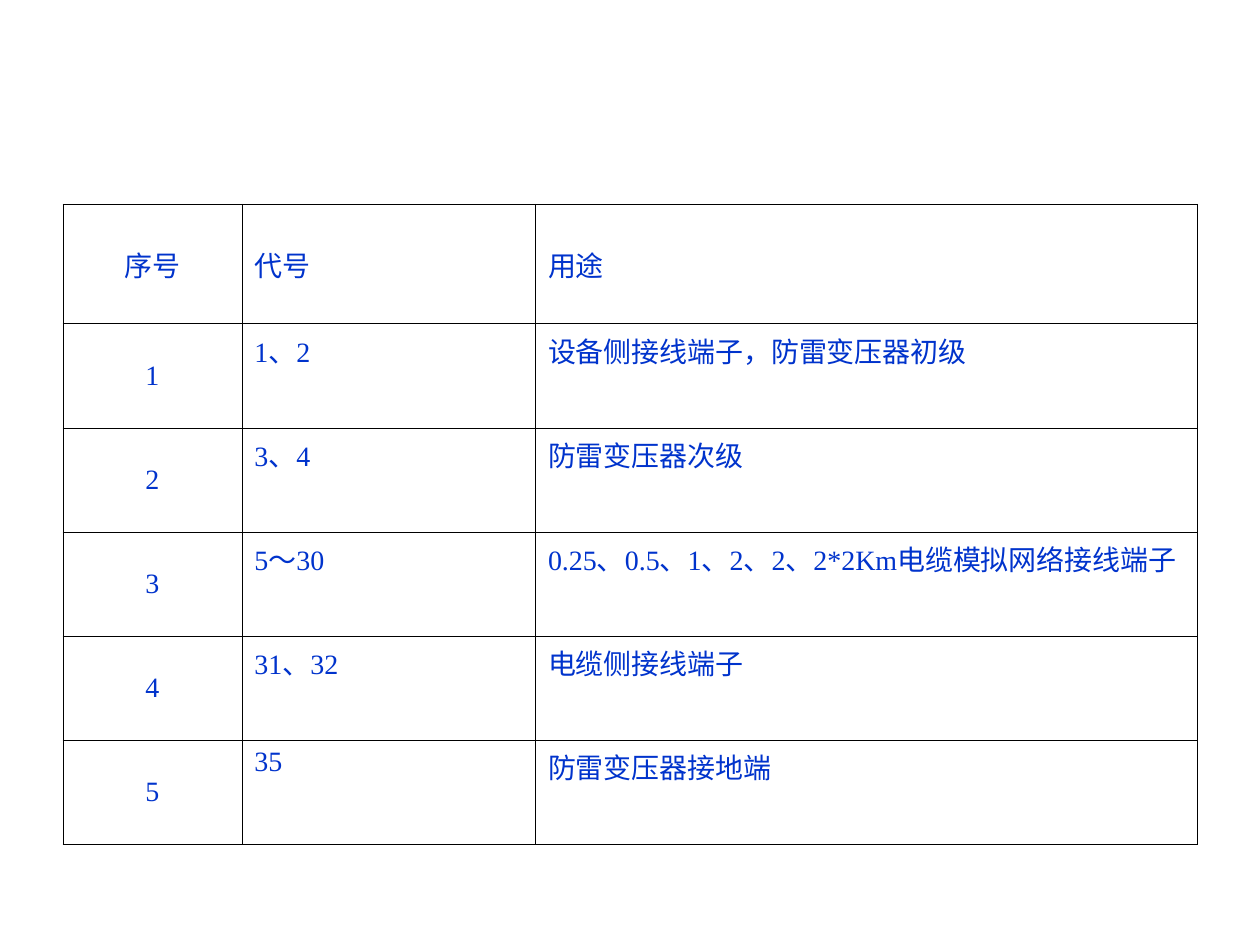
from dataclasses import dataclass

from lxml import etree
from pptx import Presentation
from pptx import util as u
from pptx.dml.color import RGBColor
from pptx.enum import text
from pptx.oxml import ns


@dataclass(frozen=True)
class Theme:
    ink: RGBColor = RGBColor(0x00, 0x33, 0xCC)
    rule: str = "000000"
    rule_width: u.Length = u.Pt(0.45)
    size: u.Length = u.Pt(16)
    latin: str = "Times New Roman"
    east_asian: str = "Noto Sans CJK SC"


class SlideBuilder:
    def __init__(self, slide, theme):
        self.slide = slide
        self.theme = theme

    def table(self, rows, left, top, widths, heights):
        grid = self.slide.shapes.add_table(
            len(rows), len(widths), u.Inches(left), u.Inches(top),
            u.Inches(sum(widths)), u.Inches(sum(heights))).table
        for name, value in {"first_row": False, "horz_banding": False}.items():
            setattr(grid, name, value)
        for column, width in zip(grid.columns, widths):
            column.width = u.Inches(width)
        for row, height in zip(grid.rows, heights):
            row.height = u.Inches(height)
        for r, row in enumerate(rows):
            for c, wording in enumerate(row):
                self.cell(grid.cell(r, c), wording,
                          middle=r == 0 or c == 0, centred=c == 0)

    def cell(self, cell, wording, middle, centred):
        anchor = text.MSO_ANCHOR.MIDDLE if middle else text.MSO_ANCHOR.TOP
        layout = {"margin_left": u.Inches(0.1), "margin_right": u.Inches(0.1),
                  "margin_top": u.Inches(0.05), "margin_bottom": u.Inches(0.05),
                  "vertical_anchor": anchor}
        for name, value in layout.items():
            setattr(cell, name, value)
        self.borders(cell)
        cell.fill.background()
        paragraph = cell.text_frame.paragraphs[0]
        paragraph.alignment = text.PP_ALIGN.CENTER if centred else text.PP_ALIGN.LEFT
        for part in filter(None, wording.partition("～")):
            self.run(paragraph, part)

    def run(self, paragraph, wording):
        run = paragraph.add_run()
        run.text = wording
        face = self.theme.east_asian if wording == "～" else self.theme.latin
        for name, value in {"name": face, "size": self.theme.size}.items():
            setattr(run.font, name, value)
        run.font.color.rgb = self.theme.ink
        etree.SubElement(run._r.get_or_add_rPr(), ns.qn("a:ea"),
                         typeface=self.theme.east_asian)

    def borders(self, cell):
        properties = cell._tc.get_or_add_tcPr()
        for side in ("a:lnL", "a:lnR", "a:lnT", "a:lnB"):
            line = etree.SubElement(properties, ns.qn(side),
                                    w=str(int(self.theme.rule_width)))
            fill = etree.SubElement(line, ns.qn("a:solidFill"))
            etree.SubElement(fill, ns.qn("a:srgbClr"), val=self.theme.rule)


TERMINALS = [
    ("序号", "代号", "用途"),
    ("1", "1、2", "设备侧接线端子，防雷变压器初级"),
    ("2", "3、4", "防雷变压器次级"),
    ("3", "5～30", "0.25、0.5、1、2、2、2*2Km电缆模拟网络接线端子"),
    ("4", "31、32", "电缆侧接线端子"),
    ("5", "35", "防雷变压器接地端"),
]


def main():
    deck = Presentation()
    deck.slide_width, deck.slide_height = u.Inches(10), u.Inches(7.5)
    builder = SlideBuilder(deck.slides.add_slide(deck.slide_layouts[6]), Theme())
    header_height, table_height = 0.95, 5.08
    entries = len(TERMINALS) - 1
    entry_height = (table_height - header_height) / entries
    builder.table(TERMINALS, left=0.5, top=1.62, widths=[1.42, 2.33, 5.25],
                  heights=[header_height] + [entry_height] * entries)
    deck.save("out.pptx")


if __name__ == "__main__":
    main()
